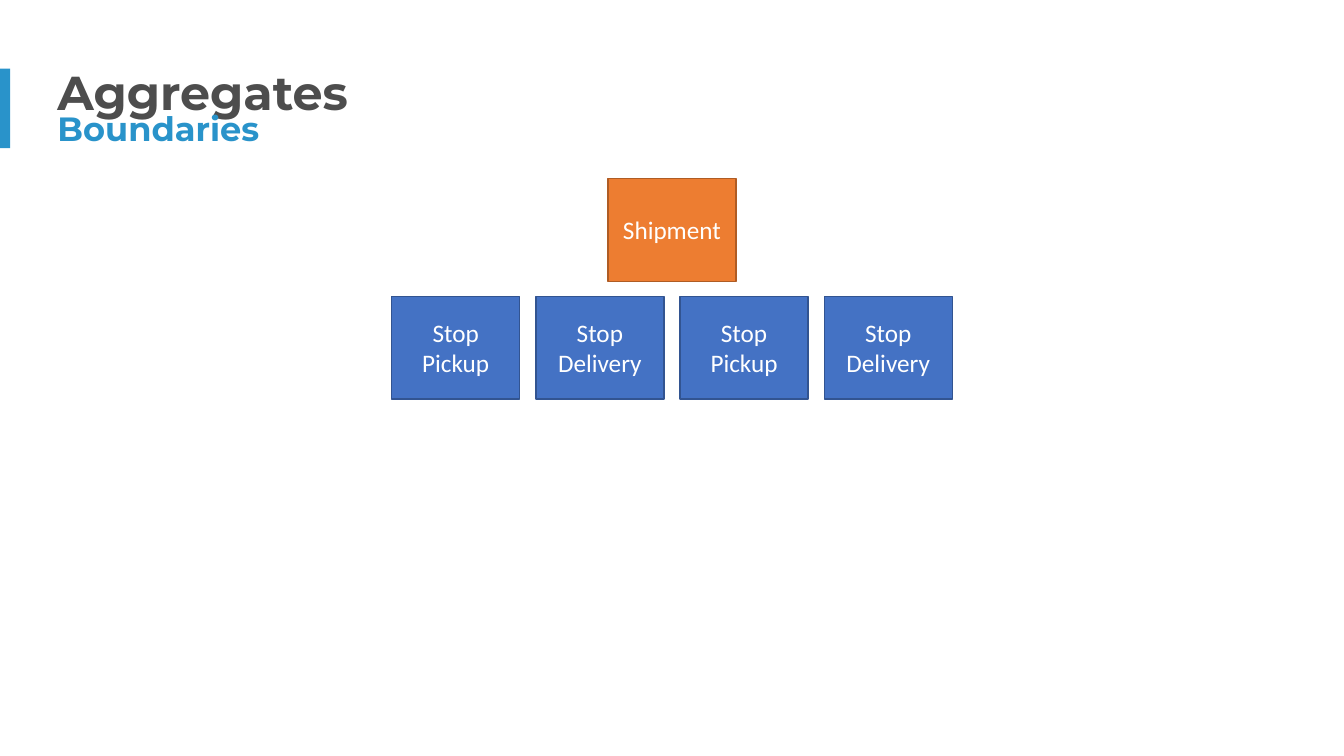
from pptx import Presentation
from pptx.dml.color import RGBColor
from pptx.enum.shapes import MSO_SHAPE as Shape
from pptx.enum.text import MSO_ANCHOR as Anchor, MSO_AUTO_SIZE as AutoSize, PP_ALIGN as Align
from pptx.util import Inches, Pt

THEME = {
    "title": {"font": "Montserrat", "size": 34, "color": "4D4D4D", "bold": True},
    "subtitle": {"font": "Montserrat", "size": 24, "color": "2993CA", "bold": True},
    "label": {"font": "Calibri", "size": 18, "color": "FFFFFF", "bold": False},
    "accent": "2993CA",
    "root": {"fill": "ED7D31", "line": "AF5C24"},
    "stop": {"fill": "4472C4", "line": "325491"},
}
SLIDE_W, SLIDE_H = 13.33, 7.5

# Grid of aggregate boxes, centred on the slide
BOX_W, BOX_H = 1.27, 1.02
GAP_X, GAP_Y = 0.16, 0.15
GRID_TOP = 1.77


def write(frame, lines, style, align):
    for index, line in enumerate(lines):
        paragraph = frame.paragraphs[0] if index == 0 else frame.add_paragraph()
        paragraph.alignment = align
        run = paragraph.add_run()
        run.text = line
        values = {"name": style["font"], "size": Pt(style["size"]), "bold": style["bold"]}
        for attribute, value in values.items():
            setattr(run.font, attribute, value)
        run.font.color.rgb = RGBColor.from_string(style["color"])


def add_block(shapes, left, top, width, height, fill, line=None):
    block = shapes.add_shape(Shape.RECTANGLE, *map(Inches, (left, top, width, height)))
    block.shadow.inherit = False
    block.fill.solid()
    block.fill.fore_color.rgb = RGBColor.from_string(fill)
    if line:
        block.line.color.rgb = RGBColor.from_string(line)
        block.line.width = Pt(1)
    else:
        block.line.fill.background()
    return block


deck = Presentation()
deck.slide_width, deck.slide_height = Inches(SLIDE_W), Inches(SLIDE_H)
slide = deck.slides.add_slide(deck.slide_layouts[6])

# Headings
frame_format = {"margin_left": 0, "margin_top": 0, "margin_right": 0, "margin_bottom": 0,
                "word_wrap": False, "auto_size": AutoSize.SHAPE_TO_FIT_TEXT}
headings = [
    ("Aggregates", "title", 0.62, 3.06, 0.57),
    ("Boundaries", "subtitle", 1.07, 2.02, 0.4),
]
for text, style, top, width, height in headings:
    heading = slide.shapes.add_textbox(*map(Inches, (0.57, top, width, height))).text_frame
    for attribute, value in frame_format.items():
        setattr(heading, attribute, value)
    write(heading, [text], THEME[style], Align.LEFT)

# Accent bar at the left edge
add_block(slide.shapes, 0, 0.68, 0.1, 0.79, THEME["accent"])

# Shipment above its row of stops
stops = [["Stop", "Pickup"], ["Stop", "Delivery"]] * 2
levels = [
    (slide.shapes, "root", [["Shipment"]]),
    (slide.shapes.add_group_shape().shapes, "stop", stops),
]
for row, (shapes, role, labels) in enumerate(levels):
    row_width = len(labels) * (BOX_W + GAP_X) - GAP_X
    row_left = (SLIDE_W - row_width) / 2
    row_top = GRID_TOP + row * (BOX_H + GAP_Y)
    for column, lines in enumerate(labels):
        left = row_left + column * (BOX_W + GAP_X)
        box = add_block(shapes, left, row_top, BOX_W, BOX_H, **THEME[role])
        box.text_frame.word_wrap = True
        box.text_frame.vertical_anchor = Anchor.MIDDLE
        write(box.text_frame, lines, THEME["label"], Align.CENTER)

deck.save("out.pptx")
